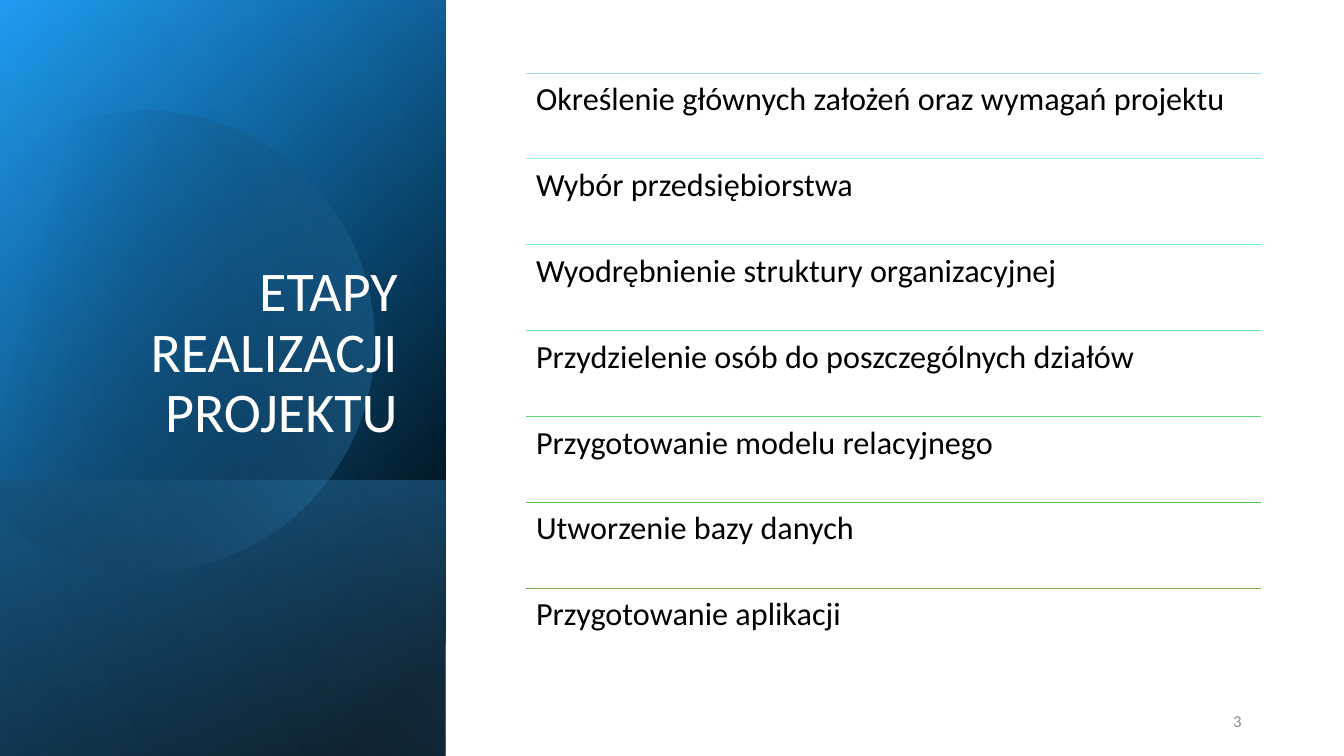
"""Build the slide that lists the stages of the project."""
import math
from dataclasses import dataclass

import lxml.etree
import pptx
import pptx.dml.color
import pptx.enum.shapes
import pptx.enum.text
import pptx.oxml.ns
import pptx.util
from pptx.util import Cm

FONT = "Calibri"
COLOURS = {
    "white": "FFFFFF", "black": "000000", "number": "8C8C8C",
    "blue": "008FF1", "sky": "42B2FF", "pale": "8ED1FF",
    "rule 1": "A5DAFF", "rule 2": "8DEDF9", "rule 3": "79F1D9", "rule 4": "67E5A7",
    "rule 5": "58D772", "rule 6": "58C64C", "rule 7": "70AD47",
}
PANEL_WIDTH = 11.23
SLIDE_HEIGHT = 19.05
STAGE_LEFT, STAGE_TOP, STAGE_WIDTH, STAGES_HEIGHT = 13.26, 1.84, 18.52, 15.14


@dataclass
class Stop:
    position: int
    colour: str
    opacity: int = 100


@dataclass
class Panel:
    top: float
    angle: int
    stops: list[Stop]


@dataclass
class Label:
    text: str
    left: float
    top: float
    width: float
    height: float
    size: float
    colour: str
    align: pptx.enum.text.PP_ALIGN = pptx.enum.text.PP_ALIGN.LEFT
    anchor: pptx.enum.text.MSO_ANCHOR = pptx.enum.text.MSO_ANCHOR.TOP
    line_spacing: float = 0.9
    inset_y: float = 0.13


BASE_PANELS = [
    Panel(0, 50, [Stop(8, "black"), Stop(100, "blue")]),
    Panel(0, 30, [Stop(0, "black", 0), Stop(99, "sky", 46)]),
    Panel(12.1, 130, [Stop(2, "sky", 29), Stop(100, "black", 30)]),
]
GLOW_PANEL = Panel(0, 120, [Stop(0, "black", 0), Stop(99, "pale", 11)])
DISC_STOPS = [Stop(29, "black", 0), Stop(100, "sky", 43)]
DISC_LEFT, DISC_TOP, DISC_WIDTH, DISC_HEIGHT, DISC_TURN = -1.4, 2.69, 10.85, 11.61, -16.1
DISC_START = (3.78, 2.79)
DISC_SEGMENTS = [
    [(6.25, 2.84), (8.51, 4.5), (9.22, 6.99)],
    [(10.11, 10.08), (8.33, 13.28), (5.26, 14.17)],
    [(3.33, 14.73), (1.35, 14.25), (-0.08, 13.06)],
    [(-0.38, 12.78)],
    [(-0.38, 4.45)],
    [(0, 4.09)],
    [(0.58, 3.61), (1.27, 3.25), (2.03, 3.02)],
    [(2.62, 2.87), (3.2, 2.79), DISC_START],
]
STAGES = [
    "Określenie głównych założeń oraz wymagań projektu",
    "Wybór przedsiębiorstwa",
    "Wyodrębnienie struktury organizacyjnej",
    "Przydzielenie osób do poszczególnych działów",
    "Przygotowanie modelu relacyjnego",
    "Utworzenie bazy danych",
    "Przygotowanie aplikacji",
]
TITLE = Label("ETAPY REALIZACJI PROJEKTU", 1.61, 4.69, 8.66, 6.65, 40, "white",
              pptx.enum.text.PP_ALIGN.RIGHT, pptx.enum.text.MSO_ANCHOR.BOTTOM)
PAGE_NUMBER = Label("3", 23.92, 17.65, 7.62, 1.02, 12, "number",
                    pptx.enum.text.PP_ALIGN.RIGHT, pptx.enum.text.MSO_ANCHOR.MIDDLE, 1.0)


def rgb(name: str) -> pptx.dml.color.RGBColor:
    """Return the named colour."""
    return pptx.dml.color.RGBColor.from_string(COLOURS[name])


def add_element(parent, tag: str, **attributes):
    """Append a DrawingML element to the parent."""
    return lxml.etree.SubElement(parent, pptx.oxml.ns.qn(tag), attributes)


def paint_gradient(shape, angle: int, stops: list[Stop]) -> None:
    """Give the shape a linear gradient with no line or shadow."""
    shape.shadow.inherit = False
    shape.line.fill.background()
    shape.fill.background()
    properties = shape._element.spPr
    empty_fill = properties.find(pptx.oxml.ns.qn("a:noFill"))
    gradient = add_element(properties, "a:gradFill", rotWithShape="1")
    properties.replace(empty_fill, gradient)
    stop_list = add_element(gradient, "a:gsLst")
    for stop in stops:
        entry = add_element(stop_list, "a:gs", pos=str(stop.position * 1000))
        colour = add_element(entry, "a:srgbClr", val=COLOURS[stop.colour])
        if stop.opacity < 100:
            add_element(colour, "a:alpha", val=str(stop.opacity * 1000))
    add_element(gradient, "a:lin", ang=str(angle * 60000), scaled="0")


def draw_panel(page, panel: Panel) -> None:
    """Draw a mirrored, quarter-turned rectangle down to the slide's foot."""
    height = SLIDE_HEIGHT - panel.top
    left = (PANEL_WIDTH - height) / 2
    top = panel.top + (height - PANEL_WIDTH) / 2
    shape = page.shapes.add_shape(
        pptx.enum.shapes.MSO_SHAPE.RECTANGLE, Cm(left), Cm(top), Cm(height), Cm(PANEL_WIDTH))
    shape.rotation = 90
    shape._element.spPr.xfrm.set("flipH", "1")
    paint_gradient(shape, panel.angle, panel.stops)


def disc_point(point: tuple[float, float]) -> tuple[int, int]:
    """Return a slide point in the disc's own unturned frame."""
    turn = math.radians(-DISC_TURN)
    across = point[0] - DISC_LEFT - DISC_WIDTH / 2
    down = point[1] - DISC_TOP - DISC_HEIGHT / 2
    return (Cm(DISC_WIDTH / 2 + across * math.cos(turn) - down * math.sin(turn)),
            Cm(DISC_HEIGHT / 2 + across * math.sin(turn) + down * math.cos(turn)))


def draw_disc(page) -> None:
    """Draw the translucent, turned disc with its left side cut straight."""
    builder = page.shapes.build_freeform(*disc_point(DISC_START))
    builder.add_line_segments([disc_point(DISC_SEGMENTS[0][-1])], close=True)
    shape = builder.convert_to_shape()
    shape.left, shape.top = Cm(DISC_LEFT), Cm(DISC_TOP)
    shape.width, shape.height = Cm(DISC_WIDTH), Cm(DISC_HEIGHT)
    shape.rotation = DISC_TURN
    outline = next(shape._element.iter(pptx.oxml.ns.qn("a:path")))
    outline.set("w", str(shape.width))
    outline.set("h", str(shape.height))
    for step in list(outline):
        outline.remove(step)
    for segment in [[DISC_START], *DISC_SEGMENTS]:
        tag = "a:cubicBezTo" if len(segment) == 3 else "a:lnTo"
        step = add_element(outline, tag if len(outline) else "a:moveTo")
        for x, y in map(disc_point, segment):
            add_element(step, "a:pt", x=str(x), y=str(y))
    add_element(outline, "a:close")
    paint_gradient(shape, 30, DISC_STOPS)


def draw_label(page, label: Label) -> None:
    """Draw a wrapped text box."""
    box = page.shapes.add_textbox(
        Cm(label.left), Cm(label.top), Cm(label.width), Cm(label.height))
    frame = box.text_frame
    frame.text = label.text
    frame.word_wrap = True
    frame.vertical_anchor = label.anchor
    frame.margin_top = frame.margin_bottom = Cm(label.inset_y)
    para = frame.paragraphs[0]
    para.alignment = label.align
    para.line_spacing = label.line_spacing
    span = para.runs[0]
    span.font.name = FONT
    span.font.size = pptx.util.Pt(label.size)
    span.font.color.rgb = rgb(label.colour)


def draw_rule(page, top: float, colour: str) -> None:
    """Draw the thin line above a stage."""
    rule = page.shapes.add_connector(
        pptx.enum.shapes.MSO_CONNECTOR.STRAIGHT,
        Cm(STAGE_LEFT), Cm(top), Cm(STAGE_LEFT + STAGE_WIDTH), Cm(top))
    rule.line.color.rgb = rgb(colour)
    rule.line.width = pptx.util.Pt(0.5)
    add_element(rule._element.spPr, "a:effectLst")


def main() -> None:
    """Build and save the deck."""
    deck = pptx.Presentation()
    deck.slide_width, deck.slide_height = Cm(33.87), Cm(SLIDE_HEIGHT)
    page = deck.slides.add_slide(deck.slide_layouts[6])
    for panel in BASE_PANELS:
        draw_panel(page, panel)
    draw_disc(page)
    for panel, label in [(GLOW_PANEL, TITLE)]:
        draw_panel(page, panel)
        draw_label(page, label)
    pitch = STAGES_HEIGHT / len(STAGES)
    for index, stage in enumerate(STAGES):
        top = STAGE_TOP + index * pitch
        draw_rule(page, top, f"rule {index + 1}")
        draw_label(page, Label(stage, STAGE_LEFT, top, STAGE_WIDTH, pitch, 23, "black", inset_y=0.25))
    draw_label(page, PAGE_NUMBER)
    deck.save("out.pptx")


if __name__ == "__main__":
    main()
